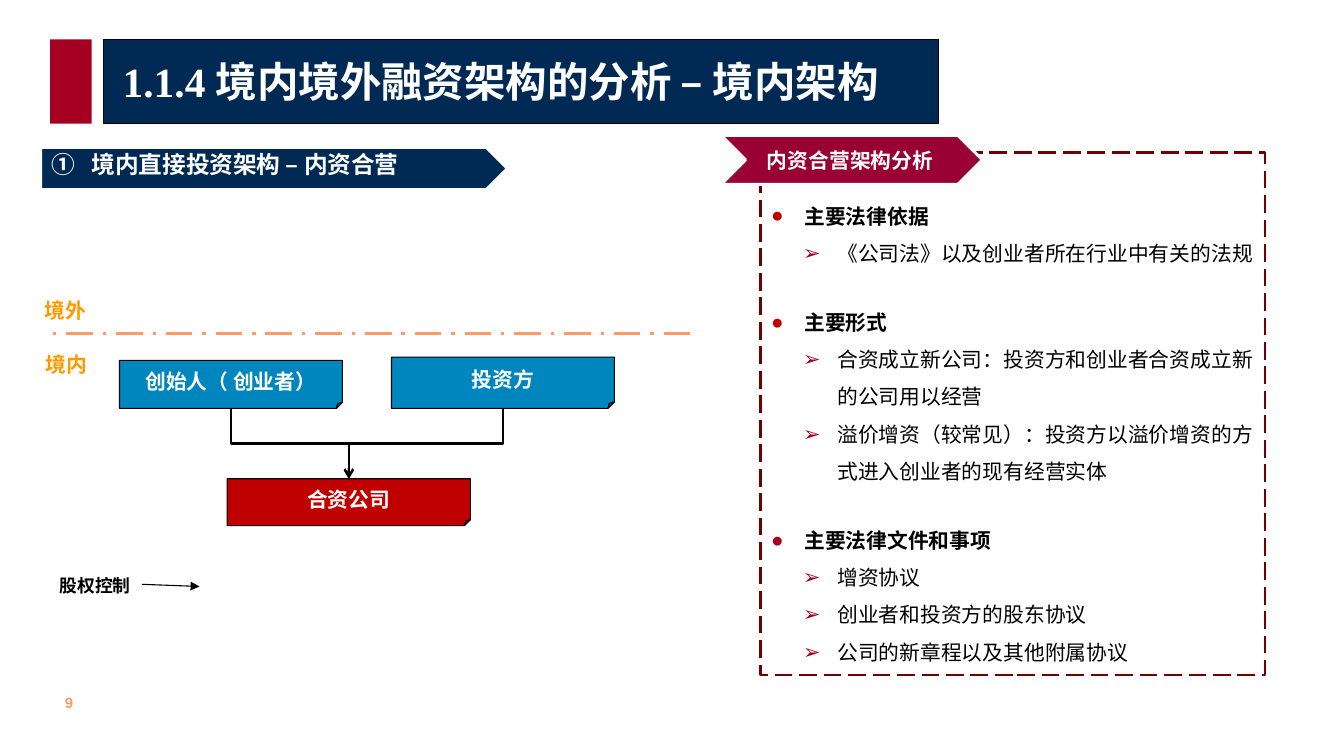
"""Build the slide on the domestic joint venture financing structure."""
from lxml import etree
from pptx import Presentation
from pptx.dml.color import RGBColor
from pptx.enum.dml import MSO_LINE_DASH_STYLE as Dash
from pptx.enum.shapes import MSO_CONNECTOR as Link, MSO_SHAPE as Preset
from pptx.enum.text import MSO_ANCHOR as Anchor, MSO_AUTO_SIZE as Fit, PP_ALIGN as Align
from pptx.oxml.ns import qn
from pptx.util import Inches, Pt

TITLE = "1.1.4 境内境外融资架构的分析 – 境内架构"
SUBTITLE = "境内直接投资架构 – 内资合营"
PANEL_TITLE = "内资合营架构分析"
ANALYSIS = [
    ("主要法律依据", "C00000", ["《公司法》以及创业者所在行业中有关的法规"]),
    ("主要形式", "C00000", [
        "合资成立新公司：投资方和创业者合资成立新的公司用以经营",
        "溢价增资（较常见）：投资方以溢价增资的方式进入创业者的现有经营实体",
    ]),
    ("主要法律文件和事项", "A50021", [
        "增资协议",
        "创业者和投资方的股东协议",
        "公司的新章程以及其他附属协议",
    ]),
]
INVESTORS = [
    ("投资方", (3.67, 3.35, 2.09, 0.48)),
    ("创始人（ 创业者）", (1.12, 3.38, 2.09, 0.45)),
]
VENTURE = ("合资公司", (2.13, 4.49, 2.28, 0.44))
LABELS = [
    ("境外", (0.32, 2.74, 1.29, 0.3), 14, "FF9900", "Times New Roman"),
    ("境内", (0.33, 3.25, 1.29, 0.37), 14, "FF9900", "Times New Roman"),
    ("股权控制", (0.46, 5.34, 0.9, 0.3), 12, "000000", "Times New Roman"),
    ("9", (0.51, 6.46, 0.37, 0.27), 10, "FF9966", "Arial"),
]
NAVY, CRIMSON, BLUE, RED = "002A54", "A50021", "0086BF", "C00000"
WHITE, BLACK = "FFFFFF", "000000"


def paint(color_format, color):
    color_format.rgb = RGBColor.from_string(color)


def place(shape, area):
    shape.left, shape.top, shape.width, shape.height = map(Inches, area)


def style(para, size, color, bold=True, font="Times New Roman"):
    for span in para.runs:
        span.font.name, span.font.size, span.font.bold = font, Pt(size), bold
        paint(span.font.color, color)


def outline(line, color, width, dash=None):
    paint(line.color, color)
    line.width = Pt(width)
    if dash:
        line.dash_style = dash


def add_box(page, preset, area, fill, edge=None, width=1):
    box = page.shapes.add_shape(preset, *map(Inches, area))
    box.shadow.inherit = False
    box.fill.solid()
    paint(box.fill.fore_color, fill)
    if edge:
        outline(box.line, edge, width)
    else:
        box.line.fill.background()
    return box


def add_label(page, text, area, size, color, font="Times New Roman"):
    box = page.shapes.add_textbox(*map(Inches, area))
    frame = box.text_frame
    frame.word_wrap = True
    frame.text = text
    style(frame.paragraphs[0], size, color, font=font)
    return box


def add_node(page, text, area, fill):
    node = add_box(page, Preset.FOLDED_CORNER, area, fill, BLACK, 0.75)
    guides = next(node.element.iter(qn("a:avLst")))
    etree.SubElement(guides, qn("a:gd"), name="adj", fmla="val 12500")
    frame = node.text_frame
    frame.word_wrap = False
    frame.vertical_anchor = Anchor.MIDDLE
    frame.text = text
    frame.paragraphs[0].alignment = Align.CENTER
    style(frame.paragraphs[0], 14, WHITE)


def add_line(page, kind, start, end, color, width, dash=None, arrow=None):
    line = page.shapes.add_connector(kind, *map(Inches, start + end))
    outline(line.line, color, width, dash)
    properties = line.element.spPr
    if arrow:
        etree.SubElement(properties.find(qn("a:ln")), qn("a:tailEnd"), type=arrow)
    etree.SubElement(properties, qn("a:effectLst"))
    return line


def add_elbow(page, start, end):
    """Turn a horizontal elbow so that it leaves and arrives vertically."""
    (x1, y1), (x2, y2) = start, end
    middle_x, middle_y = (x1 + x2) / 2, (y1 + y2) / 2
    side = 1 if x2 > x1 else -1
    reach, spread = side * (y2 - y1) / 2, abs(x2 - x1) / 2
    elbow = add_line(page, Link.ELBOW, (middle_x + reach, middle_y - spread),
                     (middle_x - reach, middle_y + spread), BLACK, 1.5, arrow="arrow")
    turn = 270 if side > 0 else 90
    elbow.element.spPr.find(qn("a:xfrm")).set("rot", str(turn * 60000))


def set_bullet(para, indent, hang, kind, value, color=None):
    properties = para._p.get_or_add_pPr()
    properties.set("marL", str(Inches(indent)))
    properties.set("indent", str(-Inches(hang)))
    if color:
        tint = etree.SubElement(properties, qn("a:buClr"))
        etree.SubElement(tint, qn("a:srgbClr"), val=color)
    etree.SubElement(properties, qn("a:buFont"), typeface="Arial")
    key = "char" if kind == "buChar" else "type"
    etree.SubElement(properties, qn("a:" + kind)).set(key, value)


def fill_analysis(body):
    place(body, (7.13, 1.43, 4.73, 4.9))
    outline(body.line, "700000", 1.5, Dash.LONG_DASH)
    frame = body.text_frame
    frame.auto_size = Fit.NONE
    frame.margin_top = Inches(0.36)
    lines = []
    for heading, color, points in ANALYSIS:
        lines.append((heading, "●", color, 0.31, 0.31, True))
        lines += [(point, "➢", CRIMSON, 0.62, 0.32, False) for point in points]
    for index, (text, mark, color, indent, hang, bold) in enumerate(lines):
        para = frame.add_paragraph() if index else frame.paragraphs[0]
        para.text = text
        set_bullet(para, indent, hang, "buChar", mark, color)
        para.line_spacing = 1.5
        para.space_before = Pt(21.3 if bold and index else 0)
        style(para, 14, BLACK, bold)


def fill_title(title):
    place(title, (1.05, 0.38, 7.67, 0.75))
    frame = title.text_frame
    frame.auto_size = Fit.NONE
    frame.vertical_anchor = Anchor.MIDDLE
    frame.text = TITLE
    frame.paragraphs[0].alignment = Align.LEFT
    style(frame.paragraphs[0], 28, WHITE)


def main():
    deck = Presentation()
    deck.slide_width, deck.slide_height = Inches(12.6), Inches(7.09)
    page = deck.slides.add_slide(deck.slide_layouts[1])
    title, body = page.placeholders
    fill_analysis(body)

    add_box(page, Preset.RECTANGLE, (0.97, 0.37, 7.83, 0.79), NAVY, BLACK)
    add_box(page, Preset.RECTANGLE, (0.47, 0.37, 0.39, 0.79), CRIMSON)
    fill_title(title)
    title.element.getparent().append(title.element)

    add_box(page, Preset.PENTAGON, (0.38, 1.38, 4.38, 0.4), NAVY, WHITE, 2.25)
    subtitle = add_label(page, SUBTITLE, (0.38, 1.36, 3.72, 0.37), 16, WHITE)
    set_bullet(subtitle.text_frame.paragraphs[0], 0.38, 0.38, "buAutoNum", "circleNumDbPlain")

    add_box(page, Preset.CHEVRON, (6.76, 1.27, 2.45, 0.46), "990033", WHITE, 2)
    banner = add_label(page, PANEL_TITLE, (7.17, 1.3, 1.65, 0.41), 14, WHITE).text_frame
    banner.vertical_anchor = Anchor.MIDDLE
    banner.margin_left, banner.margin_right = Inches(0.02), 0
    banner.margin_top = banner.margin_bottom = Inches(0.01)
    banner.paragraphs[0].alignment = Align.LEFT

    left, top, width, _ = VENTURE[1]
    target = (left + width / 2, top)
    add_node(page, *VENTURE, RED)
    for name, area in INVESTORS:
        add_node(page, name, area, BLUE)
        left, top, width, height = area
        add_elbow(page, (left + width / 2, top + height), target)

    add_line(page, Link.STRAIGHT, (6.47, 3.13), (0.46, 3.13), "FF9966", 2.25, Dash.LONG_DASH_DOT)
    add_line(page, Link.STRAIGHT, (1.33, 5.48), (1.87, 5.5), BLACK, 0.75, arrow="triangle")
    for label in LABELS:
        add_label(page, *label)
    deck.save("out.pptx")


if __name__ == "__main__":
    main()
